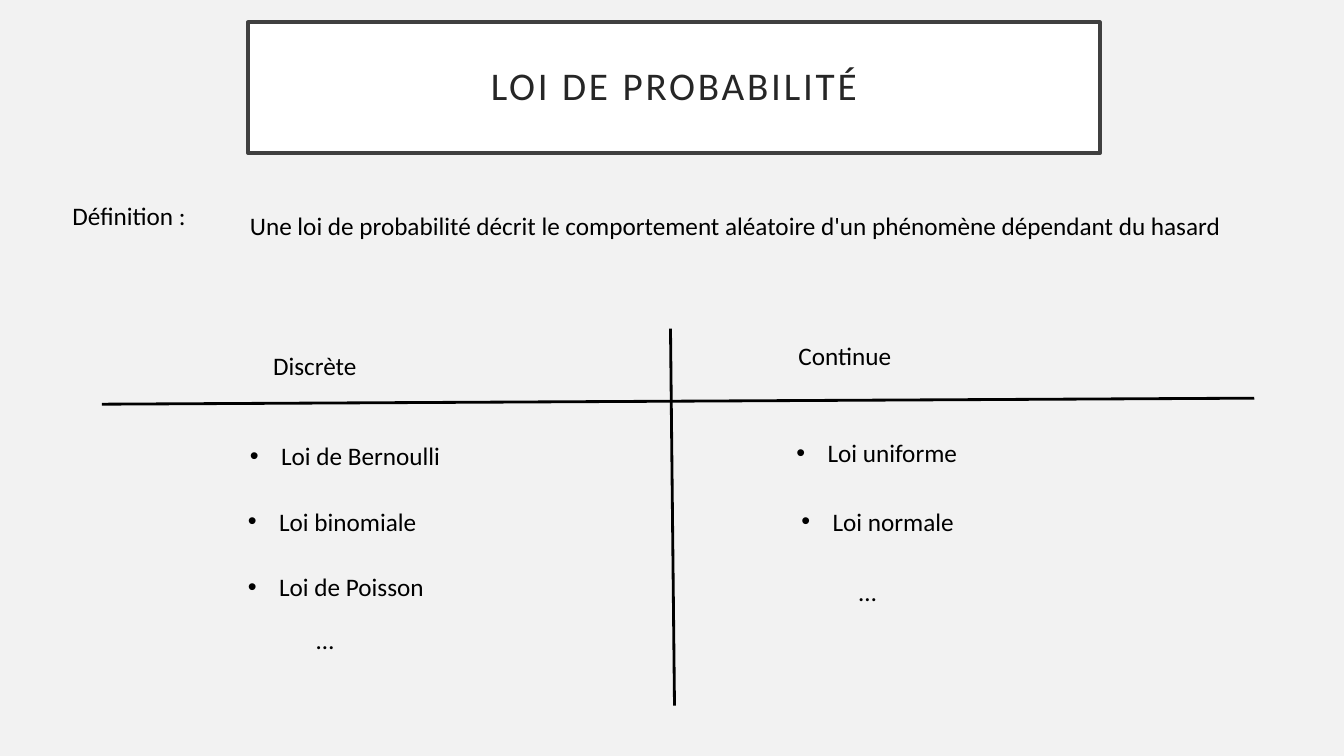
import pptx
import pptx.util
import pptx.dml.color
import pptx.enum.shapes
import pptx.enum.text
import pptx.oxml.ns
from lxml import etree

COLORS = {"background": "F2F2F2", "panel": "FFFFFF", "border": "404040",
          "title": "262626", "ink": "000000"}
WIDTH, HEIGHT = 13.33, 7.5
COLUMNS, ROWS = 133.3, 75
LINE_ROWS = 4


class ProbabilitySlide:
    """Style and current slide; positions are grid columns and rows."""

    font = "Calibri"
    body_size = 18
    bullet_indent = pptx.util.Inches(0.31)

    def __init__(self, deck):
        self.deck = deck
        self.page = deck.slides.add_slide(deck.slide_layouts[6])
        fill = self.page.background.fill
        fill.solid()
        fill.fore_color.rgb = self.color("background")

    def color(self, name):
        return pptx.dml.color.RGBColor.from_string(COLORS[name])

    def x(self, columns):
        return round(self.deck.slide_width * columns / COLUMNS)

    def y(self, rows):
        return round(self.deck.slide_height * rows / ROWS)

    def area(self, left, top, width, height):
        return self.x(left), self.y(top), self.x(width), self.y(height)

    def add_span(self, para, words, size, color):
        span = para.add_run()
        span.text = words
        span.font.name = self.font
        span.font.size = pptx.util.Pt(size)
        span.font.color.rgb = self.color(color)
        return span

    def title(self, words, left, top, width, height):
        box = self.page.shapes.add_shape(
            pptx.enum.shapes.MSO_SHAPE.RECTANGLE, *self.area(left, top, width, height))
        box.shadow.inherit = False
        box.fill.solid()
        box.fill.fore_color.rgb = self.color("panel")
        box.line.color.rgb = self.color("border")
        box.line.width = pptx.util.Pt(2.5)
        frame = box.text_frame
        frame.word_wrap = True
        frame.vertical_anchor = pptx.enum.text.MSO_ANCHOR.MIDDLE
        margin = pptx.util.Inches(0.2)
        frame.margin_left = frame.margin_right = margin
        frame.margin_top = frame.margin_bottom = margin
        para = frame.paragraphs[0]
        para.alignment = pptx.enum.text.PP_ALIGN.CENTER
        para.line_spacing = 0.9
        span = self.add_span(para, words, 28, "title")
        span._r.get_or_add_rPr().set("spc", "200")

    def text(self, words, left, top, width, bullet=False):
        box = self.page.shapes.add_textbox(*self.area(left, top, width, LINE_ROWS))
        frame = box.text_frame
        frame.word_wrap = True
        frame.auto_size = pptx.enum.text.MSO_AUTO_SIZE.SHAPE_TO_FIT_TEXT
        para = frame.paragraphs[0]
        if bullet:
            self.add_bullet(para)
        self.add_span(para, words, self.body_size, "ink")

    def add_bullet(self, para):
        settings = para._p.get_or_add_pPr()
        settings.set("marL", str(self.bullet_indent))
        settings.set("indent", str(-self.bullet_indent))
        qn = pptx.oxml.ns.qn
        etree.SubElement(settings, qn("a:buFont"), typeface="Arial")
        etree.SubElement(settings, qn("a:buChar"), char="•")

    def line(self, left, top, right, bottom):
        rule = self.page.shapes.add_connector(
            pptx.enum.shapes.MSO_CONNECTOR.STRAIGHT,
            self.x(left), self.y(top), self.x(right), self.y(bottom))
        rule.line.color.rgb = self.color("ink")
        rule.line.width = pptx.util.Pt(2)
        etree.SubElement(rule._element.spPr, pptx.oxml.ns.qn("a:effectLst"))


def main():
    deck = pptx.Presentation()
    deck.slide_width = pptx.util.Inches(WIDTH)
    deck.slide_height = pptx.util.Inches(HEIGHT)
    slide = ProbabilitySlide(deck)

    # Title and definition
    slide.title("LOI DE PROBABILITÉ", 24.6, 2.2, 84.5, 13)
    slide.text("Définition :", 6.2, 19.4, 23.8)
    slide.text("Une loi de probabilité décrit le comportement aléatoire "
               "d'un phénomène dépendant du hasard", 23.8, 20.4, 100.1)

    # Dividing cross
    slide.line(66.5, 32.6, 66.9, 70)
    slide.line(10.1, 40.1, 124.4, 39.5)

    # Column headings
    slide.text("Discrète", 26.1, 34.3, 26.1)
    slide.text("Continue", 78.2, 33.3, 26.1)

    # Laws in each column
    laws = [
        ("Loi de Bernoulli", 23.8, 43.2, 25),
        ("Loi binomiale", 23.6, 49.7, 25.5),
        ("Loi de Poisson", 23.6, 56.2, 19.9),
        ("Loi uniforme", 78, 42.9, 18.4),
        ("Loi normale", 78.5, 49.7, 17.6),
    ]
    for name, left, top, width in laws:
        slide.text(name, left, top, width, bullet=True)

    # Open endings of both lists
    for left, top in ((30.4, 61.4), (84.2, 56.7)):
        slide.text("…", left, top, 17.4)

    deck.save("out.pptx")


if __name__ == "__main__":
    main()
